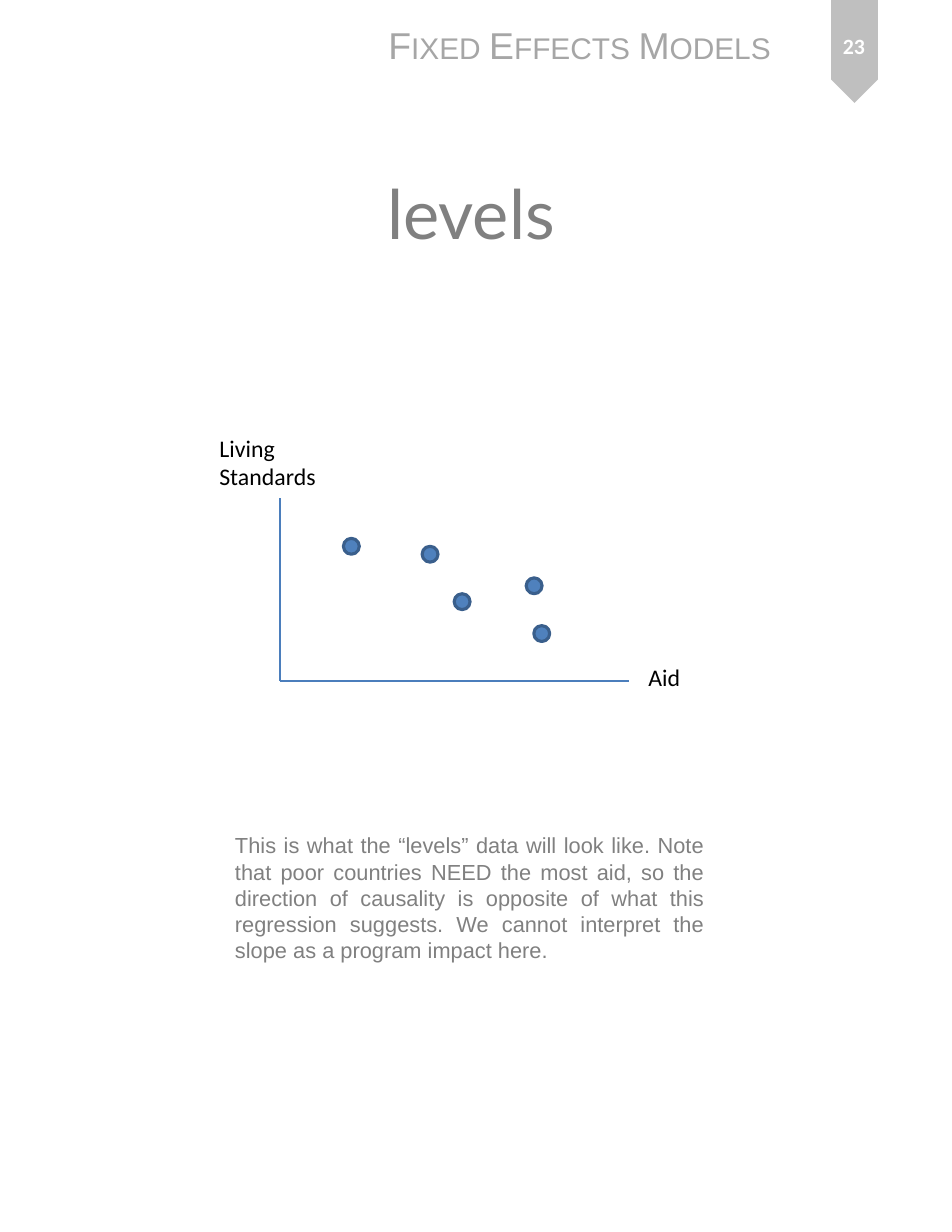
import pptx
import pptx.util
import pptx.dml.color
import pptx.enum.shapes
import pptx.enum.text
import lxml.etree

Pt = pptx.util.Pt
SHAPE = pptx.enum.shapes.MSO_SHAPE
ALIGN = pptx.enum.text.PP_ALIGN
ANCHOR = pptx.enum.text.MSO_ANCHOR
COLORS = {
    "ribbon": "BFBFBF",
    "header": "A6A6A6",
    "body": "808080",
    "label": "000000",
    "number": "FFFFFF",
    "axis": "4B7EBC",
    "dot": "4F81BD",
    "dot_edge": "3A5F8C",
}


def color(name):
    return pptx.dml.color.RGBColor.from_string(COLORS[name])


def write(box, text, size, font, tint, align=ALIGN.LEFT, anchor=ANCHOR.TOP,
          bold=False, wrap=True, small_caps=False):
    frame = box.text_frame
    frame.word_wrap = wrap
    frame.vertical_anchor = anchor
    para = frame.paragraphs[0]
    para.text = text
    para.alignment = align
    for span in para.runs:
        span.font.size = Pt(size)
        span.font.name = font
        span.font.bold = bold
        span.font.color.rgb = color(tint)
        if small_caps:
            span.font._element.set("cap", "small")


deck = pptx.Presentation()
deck.slide_width = Pt(612)
deck.slide_height = Pt(792)
page = deck.slides.add_slide(deck.slide_layouts[5])
shapes = page.shapes

ribbon = shapes.add_shape(SHAPE.PENTAGON, Pt(516.2), Pt(18), Pt(66.2), Pt(30.2))
ribbon.rotation = 90
ribbon.shadow.inherit = False
ribbon.fill.solid()
ribbon.fill.fore_color.rgb = color("ribbon")
ribbon.line.fill.background()

header = shapes.add_textbox(Pt(242.6), Pt(10.8), Pt(265), Pt(36))
write(header, "Fixed Effects Models", 24, "Arial", "header", wrap=False, small_caps=True)

title = shapes.title
title.left, title.top, title.width, title.height = Pt(27.4), Pt(70.6), Pt(550.8), Pt(131.8)
write(title, "levels", 44, "Lato", "body", align=ALIGN.CENTER, anchor=ANCHOR.MIDDLE)

number = shapes.add_textbox(Pt(524.9), Pt(7.9), Pt(48.2), Pt(42.5))
write(number, "23", 14, "Calibri", "number", align=ALIGN.CENTER, anchor=ANCHOR.MIDDLE, bold=True)

origin_x, origin_y = 180, 437.8
for end_x, end_y in [(origin_x, 320.4), (404.6, origin_y)]:
    axis = shapes.add_connector(pptx.enum.shapes.MSO_CONNECTOR.STRAIGHT,
                                Pt(origin_x), Pt(origin_y), Pt(end_x), Pt(end_y))
    axis.line.color.rgb = color("axis")
    axis.line.width = Pt(0.75)
    lxml.etree.SubElement(axis._element.spPr, pptx.oxml.ns.qn("a:effectLst"))

dot_size = 10.2
for left, top in [(338.3, 371.5), (271.4, 351.2), (220.8, 346.1), (292, 381.7), (343.2, 402.2)]:
    dot = shapes.add_shape(SHAPE.OVAL, Pt(left), Pt(top), Pt(dot_size), Pt(dot_size))
    dot.shadow.inherit = False
    dot.fill.solid()
    dot.fill.fore_color.rgb = color("dot")
    dot.line.color.rgb = color("dot_edge")
    dot.line.width = Pt(2)

for text, left, top, width, height in [
    ("Living\nStandards", 133.9, 275, 77, 44.6),
    ("Aid", 409.7, 422.6, 35.3, 25.9),
]:
    label = shapes.add_textbox(Pt(left), Pt(top), Pt(width), Pt(height))
    write(label, text, 15.3, "Calibri", "label", wrap=False)

remark = shapes.add_textbox(Pt(144), Pt(531.4), Pt(316), Pt(92.2))
write(remark, "This is what the “levels” data will look like. Note that poor countries NEED "
      "the most aid, so the direction of causality is opposite of what this regression "
      "suggests. We cannot interpret the slope as a program impact here.",
      14, "Arial", "body", align=ALIGN.JUSTIFY)

deck.save("out.pptx")
